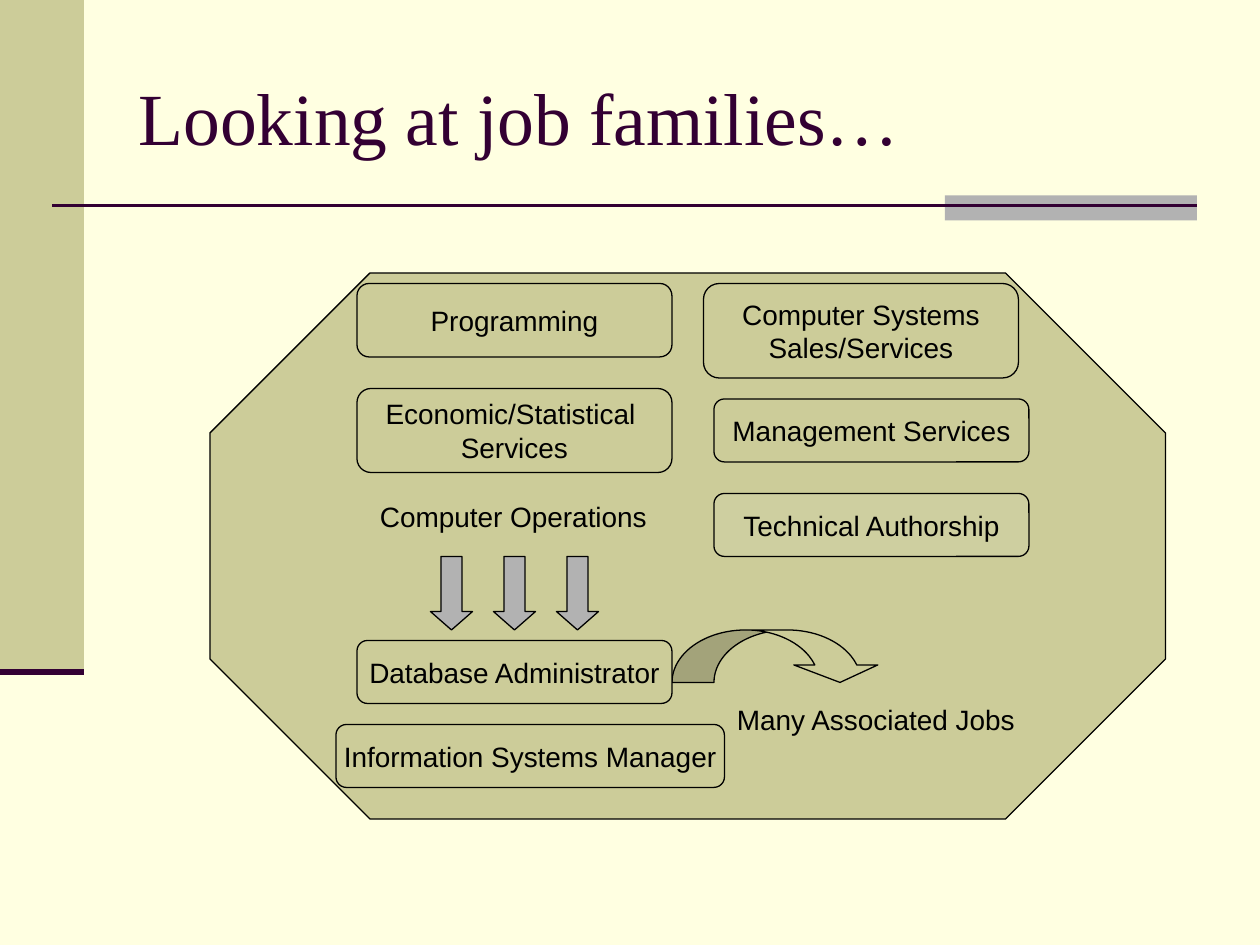
from pptx import Presentation
from pptx.dml.color import RGBColor
from pptx.enum.shapes import MSO_CONNECTOR, MSO_SHAPE as Shape
from pptx.enum.text import MSO_ANCHOR as Anchor, MSO_AUTO_SIZE as AutoSize, PP_ALIGN as Align
from pptx.oxml.ns import qn
from pptx.util import Pt
from lxml.etree import SubElement

CREAM = RGBColor(0xFF, 0xFF, 0xE1)
KHAKI = RGBColor(0xCC, 0xCC, 0x99)
GRAY = RGBColor(0xB2, 0xB2, 0xB2)
PLUM = RGBColor(0x33, 0x00, 0x33)
PALE = RGBColor(0xED, 0xF6, 0xF7)
BLACK = RGBColor(0x00, 0x00, 0x00)


def write(tf, text, size=16, font="Arial", color=BLACK, align=Align.LEFT):
    tf.text = text
    for p in tf.paragraphs:
        p.alignment = align
        for r in p.runs:
            r.font.size = Pt(size)
            r.font.name = font
            r.font.color.rgb = color


class JobSlide:
    def __init__(self, prs):
        self.s = prs.slides.add_slide(prs.slide_layouts[5])
        self.s.background.fill.solid()
        self.s.background.fill.fore_color.rgb = CREAM

    def title(self, text, x, y, w, h):
        sp = self.s.shapes.title
        sp.left, sp.top, sp.width, sp.height = Pt(x), Pt(y), Pt(w), Pt(h)
        tf = sp.text_frame
        tf.auto_size = AutoSize.NONE
        tf.vertical_anchor = Anchor.MIDDLE
        write(tf, text, size=42, font="Times New Roman", color=PLUM)

    def shape(self, kind, x, y, w, h, fill=KHAKI, outlined=True, adj=(), alpha=None):
        sp = self.s.shapes.add_shape(kind, Pt(x), Pt(y), Pt(w), Pt(h))
        sp.shadow.inherit = False
        for i, value in enumerate(adj):
            sp.adjustments[i] = value
        sp.fill.solid()
        sp.fill.fore_color.rgb = fill
        if alpha is not None:
            clr = sp.fill._xPr.find(qn("a:solidFill"))[0]
            SubElement(clr, qn("a:alpha"), val=str(alpha * 1000))
        if outlined:
            sp.line.color.rgb = BLACK
            sp.line.width = Pt(0.75)
        else:
            sp.line.fill.background()
        return sp

    def job(self, text, x, y, w, h, **style):
        sp = self.shape(Shape.ROUNDED_RECTANGLE, x, y, w, h, adj=[0.167], **style)
        tf = sp.text_frame
        tf.word_wrap = False
        tf.vertical_anchor = Anchor.MIDDLE
        write(tf, text, align=Align.CENTER)

    def label(self, text, x, y, w, h):
        tf = self.s.shapes.add_textbox(Pt(x), Pt(y), Pt(w), Pt(h)).text_frame
        tf.word_wrap = True
        write(tf, text)

    def rule(self, x1, x2, y, width):
        ln = self.s.shapes.add_connector(MSO_CONNECTOR.STRAIGHT, Pt(x1), Pt(y), Pt(x2), Pt(y))
        ln.line.color.rgb = PLUM
        ln.line.width = Pt(width)
        SubElement(ln._element.spPr, qn("a:effectLst"))


def main():
    prs = Presentation()
    prs.slide_width, prs.slide_height = Pt(720), Pt(540)
    slide = JobSlide(prs)

    slide.shape(Shape.RECTANGLE, 0, 0, 48, 384, outlined=False)
    slide.shape(Shape.RECTANGLE, 540, 111.6, 144, 14.4, fill=GRAY, outlined=False)
    slide.rule(30, 684, 117.6, 1.5)
    slide.rule(0, 48, 384, 3.5)
    slide.title("Looking at job families…", 72, 21.6, 612, 90)

    slide.shape(Shape.OCTAGON, 120, 156, 546, 312, adj=[0.293])
    slide.shape(Shape.CURVED_DOWN_ARROW, 384, 360, 120, 30, adj=[0.8, 1.6, 0.333])

    slide.job("Programming", 204, 162, 180, 42)
    slide.job("Economic/Statistical \nServices", 204, 222, 180, 48)
    slide.job("Technical Authorship", 408, 282, 180, 36, fill=PALE, alpha=8)
    slide.job("Management Services", 408, 228, 180, 36)
    slide.job("Computer Systems\nSales/Services", 402, 162, 180, 54)
    slide.job("Database Administrator", 204, 366, 180, 36)
    slide.job("Information Systems Manager", 192, 414, 222, 36)

    for i in range(3):
        slide.shape(Shape.DOWN_ARROW, 246 + 36 * i, 318, 24, 42, fill=GRAY, adj=[0.5, 0.438])

    slide.label("Computer Operations", 210, 282, 168, 26.6)
    slide.label("Many Associated Jobs", 414, 398, 210, 26.6)

    prs.save("out.pptx")


if __name__ == "__main__":
    main()
